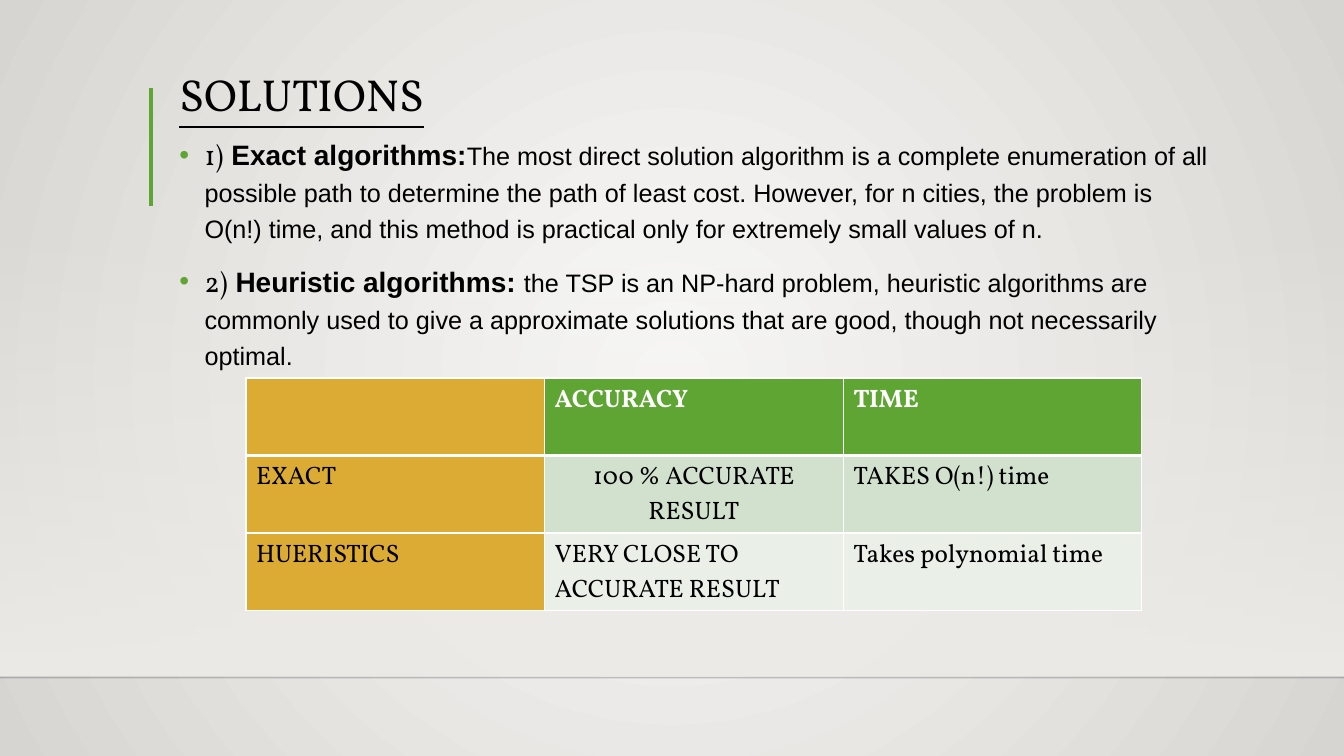
"""Build the slide comparing exact and heuristic solutions."""
from dataclasses import dataclass

from lxml.etree import SubElement
from pptx import Presentation
from pptx.dml.color import RGBColor
from pptx.enum.shapes import MSO_CONNECTOR, MSO_SHAPE
from pptx.enum.text import MSO_ANCHOR, PP_ALIGN
from pptx.oxml.ns import qn
from pptx.util import Pt

BLACK = RGBColor(0x00, 0x00, 0x00)
WHITE = RGBColor(0xFF, 0xFF, 0xFF)
GREEN = RGBColor(0x5F, 0xA5, 0x34)
GOLD = RGBColor(0xDC, 0xAB, 0x34)
SAGE = RGBColor(0xD2, 0xE1, 0xCE)
MIST = RGBColor(0xEA, 0xF0, 0xE8)
LINEN = RGBColor(0xED, 0xEB, 0xE7)
PEARL = RGBColor(0xFA, 0xFA, 0xF9)
STONE = RGBColor(0xD7, 0xD5, 0xD2)
HORIZON = RGBColor(0x00, 0x00, 0x01)
SERIF = "Vollkorn"
SANS = "Arial"
TEXT_LEFT, TEXT_WIDTH = 121, 749.5
TABLE_WIDTH, ROW_HEIGHT = 640, 55.4


@dataclass(frozen=True)
class Rule:
    start: tuple[float, float]
    end: tuple[float, float]
    color: RGBColor
    weight: float
    opacity: int = 100


@dataclass(frozen=True)
class Solution:
    number: str
    name: str
    text: str


@dataclass(frozen=True)
class Entry:
    text: str
    fill: RGBColor
    align: PP_ALIGN = PP_ALIGN.LEFT


RULES = (
    Rule((0, 484), (960, 484), HORIZON, 1, 20),
    Rule((108, 62.8), (108, 147), GREEN, 3),
)
SOLUTIONS = (
    Solution("1)", " Exact algorithms:",
             "The most direct solution algorithm is a complete enumeration of all "
             "possible path to determine the path of least cost. However, for n cities, "
             "the problem is O(n!) time, and this method is practical only for "
             "extremely small values of n."),
    Solution("2)", " Heuristic algorithms: ",
             "the TSP is an NP-hard problem, heuristic algorithms are commonly used to "
             "give a approximate solutions that are good, though not necessarily optimal."),
)
COMPARISON = (
    (Entry("", GOLD), Entry("ACCURACY", GREEN), Entry("TIME", GREEN)),
    (Entry("EXACT", GOLD), Entry("100 % ACCURATE RESULT", SAGE, PP_ALIGN.CENTER),
     Entry("TAKES O(n!) time", SAGE)),
    (Entry("HUERISTICS", GOLD), Entry("VERY CLOSE TO ACCURATE RESULT", MIST),
     Entry("Takes polynomial time", MIST)),
)


def set_opacity(color_element, percent: int) -> None:
    """Give a colour element an opacity."""
    SubElement(color_element, qn("a:alpha"), val=str(percent * 1000))


def set_gradient(fill, first: RGBColor, last: RGBColor) -> None:
    """Fill with two colours running from top to bottom."""
    fill.gradient()
    fill.gradient_angle = 270
    for stop, color, position in zip(fill.gradient_stops, (first, last), (0, 1)):
        stop.color.rgb = color
        stop.position = position


def paint_background(page) -> None:
    """Paint the round page gradient and the haze above the horizon."""
    set_gradient(page.background.fill, PEARL, STONE)
    gradient = next(page.element.iter(qn("a:gradFill")))
    gradient.remove(gradient.find(qn("a:lin")))
    circle = SubElement(gradient, qn("a:path"), path="circle")
    SubElement(circle, qn("a:fillToRect"), l="50000", t="50000", r="50000", b="50000")

    haze = page.shapes.add_shape(MSO_SHAPE.RECTANGLE, Pt(0), Pt(158.4), Pt(960), Pt(324))
    haze.shadow.inherit = False
    haze.line.fill.background()
    set_gradient(haze.fill, LINEN, LINEN)
    set_opacity(next(haze.element.spPr.iter(qn("a:srgbClr"))), 0)


def draw_rule(page, rule: Rule) -> None:
    """Draw one straight rule."""
    line = page.shapes.add_connector(
        MSO_CONNECTOR.STRAIGHT, *map(Pt, rule.start), *map(Pt, rule.end))
    line.line.color.rgb = rule.color
    line.line.width = Pt(rule.weight)
    properties = line.element.spPr
    if rule.opacity < 100:
        set_opacity(next(properties.iter(qn("a:srgbClr"))), rule.opacity)
    SubElement(properties, qn("a:effectLst"))


def add_text_frame(page, top: float, height: float, anchor: MSO_ANCHOR):
    """Add a wrapping text box in the text column."""
    box = page.shapes.add_textbox(Pt(TEXT_LEFT), Pt(top), Pt(TEXT_WIDTH), Pt(height))
    box.text_frame.word_wrap = True
    box.text_frame.vertical_anchor = anchor
    return box.text_frame


def set_font(font, name: str, size: float, color: RGBColor = BLACK, bold: bool = False) -> None:
    """Set the look of a font."""
    font.name = name
    font.size = Pt(size)
    font.color.rgb = color
    font.bold = bold


def add_title(page) -> None:
    """Add the underlined title."""
    para = add_text_frame(page, 23, 67, MSO_ANCHOR.BOTTOM).paragraphs[0]
    para.text = "SOLUTIONS"
    para.line_spacing = 0.9
    set_font(para.font, SERIF, 32)
    para.font.underline = True


def add_bullet(para) -> None:
    """Give a paragraph a green hanging bullet."""
    properties = para._p.get_or_add_pPr()
    properties.set("marL", str(Pt(18)))
    properties.set("indent", str(-Pt(18)))
    color = SubElement(properties, qn("a:buClr"))
    SubElement(color, qn("a:srgbClr"), val=str(GREEN))
    SubElement(properties, qn("a:buFont"), typeface=SANS)
    SubElement(properties, qn("a:buChar"), char="•")


def add_solutions(page) -> None:
    """Add the bulleted descriptions."""
    frame = add_text_frame(page, 90, 340, MSO_ANCHOR.TOP)
    for index, solution in enumerate(SOLUTIONS):
        para = frame.add_paragraph() if index else frame.paragraphs[0]
        add_bullet(para)
        para.line_spacing = 1.2
        para.space_before = Pt(10 if index else 0)
        for text, name, size, bold in (
            (solution.number, SERIF, 20, False),
            (solution.name, SANS, 20, True),
            (solution.text, SANS, 18, False),
        ):
            span = para.add_run()
            span.text = text
            set_font(span.font, name, size, bold=bold)


def add_borders(cell, top: float, bottom: float) -> None:
    """Outline a cell in white."""
    properties = cell._tc.get_or_add_tcPr()
    for side, weight in (("L", 1), ("R", 1), ("T", top), ("B", bottom)):
        border = SubElement(properties, qn(f"a:ln{side}"), w=str(Pt(weight)))
        SubElement(SubElement(border, qn("a:solidFill")), qn("a:srgbClr"), val=str(WHITE))


def add_comparison(page) -> None:
    """Add the table of accuracy and time."""
    rows, columns = len(COMPARISON), len(COMPARISON[0])
    table = page.shapes.add_table(rows, columns, Pt(175.7), Pt(270), Pt(TABLE_WIDTH),
                                  Pt(ROW_HEIGHT * rows)).table
    table.horz_banding = False
    for row, entries in enumerate(COMPARISON):
        header = row == 0
        for column, entry in enumerate(entries):
            cell = table.cell(row, column)
            add_borders(cell, 3 if row == 1 else 1, 3 if header else 1)
            cell.fill.solid()
            cell.fill.fore_color.rgb = entry.fill
            para = cell.text_frame.paragraphs[0]
            para.text = entry.text
            para.alignment = entry.align
            set_font(para.font, SERIF, 18, WHITE if header else BLACK, header)


def main() -> None:
    """Build and save the deck."""
    deck = Presentation()
    deck.slide_width, deck.slide_height = Pt(960), Pt(540)
    page = deck.slides.add_slide(deck.slide_layouts[6])
    paint_background(page)
    for rule in RULES:
        draw_rule(page, rule)
    add_title(page)
    add_solutions(page)
    add_comparison(page)
    deck.save("out.pptx")


if __name__ == "__main__":
    main()
